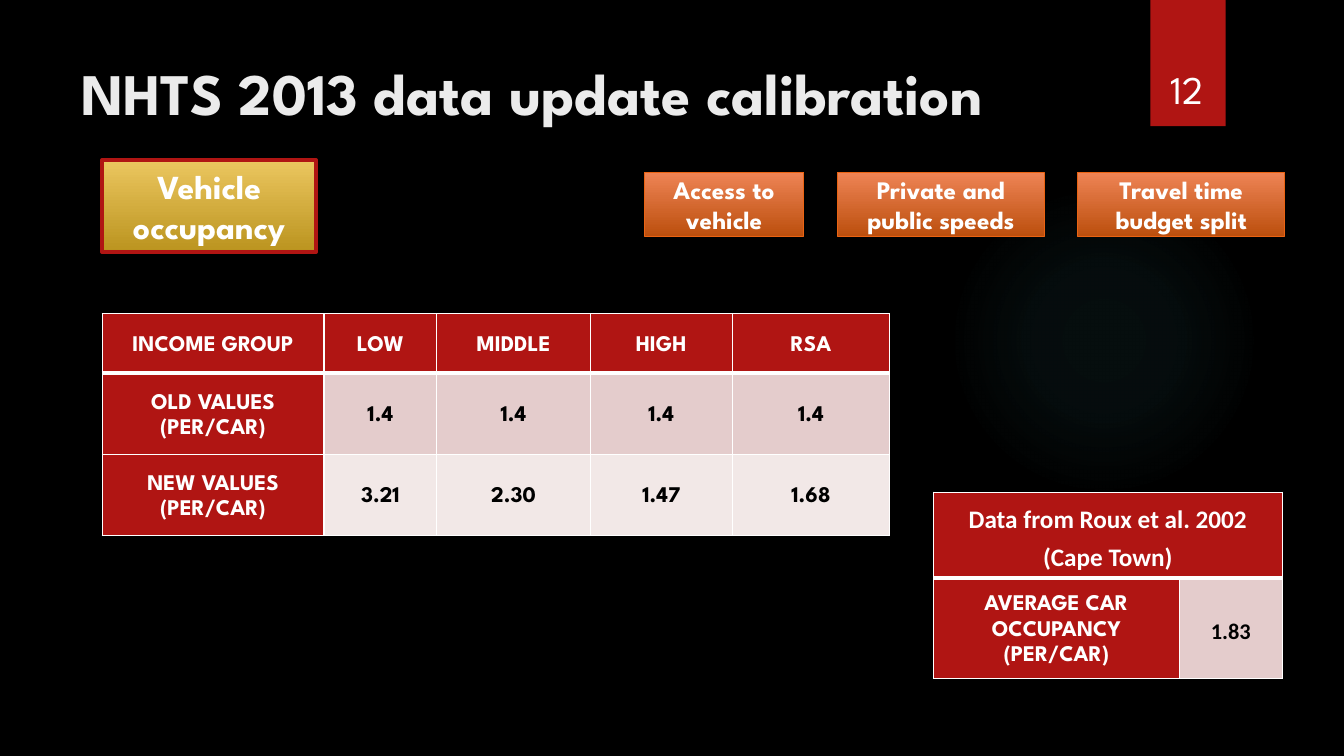
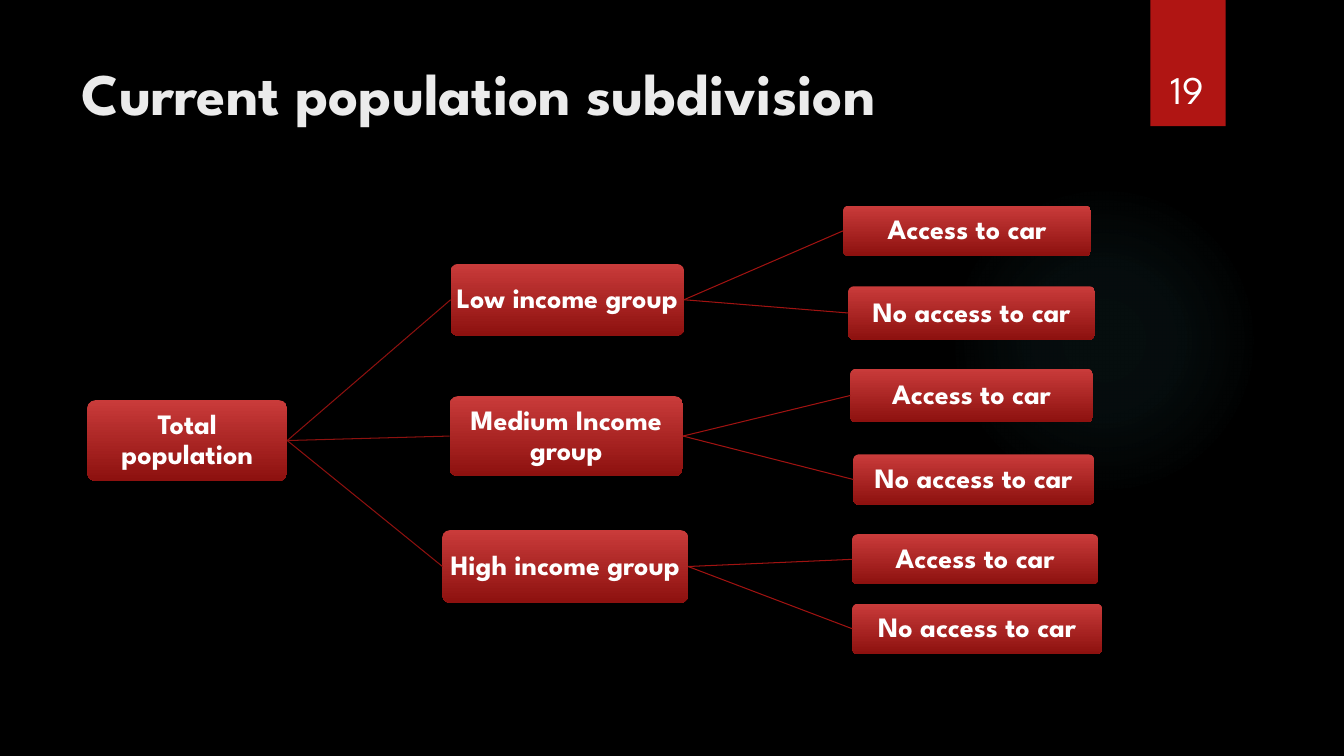
from dataclasses import dataclass

from lxml import etree
from pptx import Presentation
from pptx.dml.color import RGBColor
from pptx.enum.shapes import MSO_CONNECTOR as Connector, MSO_SHAPE as Shape
from pptx.enum.text import MSO_ANCHOR as Anchor, PP_ALIGN as Align
from pptx.oxml import parse_xml
from pptx.oxml.ns import nsdecls, qn
from pptx.util import Inches, Pt

# Shared look
HEADING_FONT, BODY_FONT = "League Spartan", "Calibri"
BLACK, WHITE, TITLE_GREY = "000000", "FFFFFF", "EBEBEB"
RED, LINE_RED, DARK_RED = "B01513", "A01311", "8D110F"
PINK, PALE_PINK = "E4CCCC", "F2E8E7"
GLOW = "50B9C1"
GLOW_STOPS = ((0, 7), (36, 6), (69, 0))
RED_SHADE = ("C93B3A", DARK_RED)
GOLD_SHADE = ("EBC65F", "BB941F")
ORANGE_SHADE, ORANGE_LINE = ("EE8455", "BC4F0E"), "EA6312"


@dataclass
class Box:
    left: int
    top: int
    width: int
    height: int

    def inner(self, left, top, width, height):
        """Return an inner box, given in percent of this one."""
        return Box(int(self.left + self.width * left / 100),
                   int(self.top + self.height * top / 100),
                   int(self.width * width / 100),
                   int(self.height * height / 100))

    @property
    def place(self):
        return self.left, self.top, self.width, self.height


def color(value):
    return RGBColor.from_string(value)


def write(frame, text, size, fill=WHITE, bold=True, font=HEADING_FONT,
          align=Align.CENTER, spacing=None):
    frame.word_wrap = True
    paragraph = frame.paragraphs[0]
    paragraph.alignment = align
    if spacing:
        paragraph.line_spacing = spacing
    run = paragraph.add_run()
    run.text = text
    run.font.color.rgb = color(fill)
    for name, value in {"name": font, "size": Pt(size), "bold": bold}.items():
        setattr(run.font, name, value)


def set_margins(target, across, down):
    margins = {"margin_left": across, "margin_right": across,
               "margin_top": down, "margin_bottom": down}
    for name, value in margins.items():
        setattr(target, name, Inches(value))


def add_text(slide, box, text, size, anchor, **style):
    frame = slide.shapes.add_textbox(*box.place).text_frame
    frame.vertical_anchor = anchor
    write(frame, text, size, **style)


def add_panel(slide, box, kind, shade, line=None, line_width=0.75):
    """Draw a shape with a plain fill, or with a downward two-colour shade."""
    shape = slide.shapes.add_shape(kind, *box.place)
    shape.shadow.inherit = False
    if isinstance(shade, str):
        shape.fill.solid()
        shape.fill.fore_color.rgb = color(shade)
    else:
        shape.fill.gradient()
        shape.fill.gradient_angle = 270
        for stop, value in zip(shape.fill.gradient_stops, shade):
            stop.color.rgb = color(value)
    if line:
        shape.line.color.rgb = color(line)
        shape.line.width = Pt(line_width)
    else:
        shape.line.fill.background()
    return shape


# Background, ribbon, number and title
def add_glow(slide, box):
    shape = add_panel(slide, box, Shape.OVAL, GLOW)
    stops = "".join(
        f'<a:gs pos="{place * 1000}"><a:srgbClr val="{GLOW}">'
        f'<a:alpha val="{alpha * 1000}"/></a:srgbClr></a:gs>'
        for place, alpha in GLOW_STOPS)
    gradient = parse_xml(
        f'<a:gradFill {nsdecls("a")}><a:gsLst>{stops}</a:gsLst>'
        '<a:path path="circle"><a:fillToRect l="50000" t="50000" '
        'r="50000" b="50000"/></a:path></a:gradFill>')
    properties = shape._element.spPr
    properties.replace(properties.find(qn("a:solidFill")), gradient)


def start_slide(presentation, box, title, number):
    slide = presentation.slides.add_slide(presentation.slide_layouts[6])
    slide.background.fill.solid()
    slide.background.fill.fore_color.rgb = color(BLACK)
    add_glow(slide, box.inner(70.6, 24.4, 23.1, 41.1))
    add_panel(slide, box.inner(85.6, 0, 5.6, 16.7), Shape.RECTANGLE, RED)
    add_text(slide, box.inner(5.3, 6.8, 77.2, 20.4), title, 42, Anchor.TOP,
             fill=TITLE_GREY, align=Align.LEFT)
    add_text(slide, box.inner(84.9, 4.3, 6.9, 11.2), number, 28,
             Anchor.BOTTOM, bold=False)
    return slide


# Topic buttons: the current one in gold, the others in an evenly spaced row
def add_button(slide, box, text, size, *look):
    shape = add_panel(slide, box, Shape.RECTANGLE, *look)
    shape.text_frame.vertical_anchor = Anchor.MIDDLE
    write(shape.text_frame, text, size)


def add_topics(slide, box, current, others):
    add_button(slide, box.inner(0, 0, 18.1, 100), current, 24,
               GOLD_SHADE, RED, 3)
    gap, left = 2.85, 45.9
    for text, width in others:
        add_button(slide, box.inner(left, 13, width, 70), text, 18,
                   ORANGE_SHADE, ORANGE_LINE)
        left += width + gap


# Tables
def set_borders(cell, **widths):
    properties = cell._tc.get_or_add_tcPr()
    for index, side in enumerate("LRTB"):
        line = etree.Element(qn(f"a:ln{side}"),
                             w=str(Pt(widths.get(side, 1))))
        fill = etree.SubElement(line, qn("a:solidFill"))
        etree.SubElement(fill, qn("a:srgbClr"), val=WHITE)
        properties.insert(index, line)


def add_grid(slide, box, columns, rows, texts, header_style, value_font):
    """Draw a table whose first row and first column are headings."""
    table = slide.shapes.add_table(len(rows), len(columns), *box.place).table
    for tracks, name, length, shares in (
            (table.columns, "width", box.width, columns),
            (table.rows, "height", box.height, rows)):
        for track, share in zip(tracks, shares):
            setattr(track, name, int(length * share / sum(shares)))
    for row, line in enumerate(texts):
        for column, text in enumerate(line):
            cell = table.cell(row, column)
            heading = row == 0 or column == 0
            cell.fill.solid()
            cell.fill.fore_color.rgb = color(
                RED if heading else (PALE_PINK, PINK)[row % 2])
            set_borders(cell, **({"B": 3} if row == 0 else
                                 {"T": 3} if row == 1 else {}))
            set_margins(cell, 0.07, 0)
            cell.vertical_anchor = Anchor.MIDDLE
            if text is None:
                table.cell(row, column - 1).merge(cell)
                continue
            style = {"size": 16, "fill": WHITE if heading else BLACK,
                     "font": HEADING_FONT if heading else value_font}
            if row == 0:
                style.update(header_style)
            write(cell.text_frame, text, spacing=1.25, **style)


# Tree: each node is a text, its share of the tree box, and its branches
def add_node(slide, box, node, parent=None, line=DARK_RED):
    text, share, branches = node
    shape = add_panel(slide, box.inner(*share), Shape.ROUNDED_RECTANGLE,
                      RED_SHADE)
    shape.adjustments[0] = 0.1
    set_margins(shape.text_frame, 0.03, 0.03)
    shape.text_frame.vertical_anchor = Anchor.MIDDLE
    write(shape.text_frame, text, 20, spacing=0.9)
    if parent is not None:
        add_branch(slide, parent, shape, line)
    for branch in branches:
        add_node(slide, box, branch, shape,
                 DARK_RED if parent is None else LINE_RED)


def add_branch(slide, parent, child, line):
    connector = slide.shapes.add_connector(Connector.STRAIGHT, 0, 0, 0, 0)
    connector.begin_connect(parent, 3)
    connector.end_connect(child, 1)
    connector.line.color.rgb = color(line)
    connector.line.width = Pt(0.75)
    etree.SubElement(connector._element.spPr, qn("a:effectLst"))


TOPICS = (("Access to vehicle", 13.5), ("Private and public speeds", 17.5),
          ("Travel time budget split", 17.5))
OCCUPANCY = (("INCOME GROUP", "LOW", "MIDDLE", "HIGH", "RSA"),
             ("OLD VALUES (PER/CAR)", "1.4", "1.4", "1.4", "1.4"),
             ("NEW VALUES (PER/CAR)", "3.21", "2.30", "1.47", "1.68"))
CAPE_TOWN = (("Data from Roux et al. 2002 (Cape Town)", None),
             ("AVERAGE CAR OCCUPANCY (PER/CAR)", "1.83"))
ACCESS, NO_ACCESS = "Access to car", "No access to car"
POPULATION = ("Total population", (0, 43.4, 19.7, 18), (
    ("Low income group", (35.8, 13, 23, 16), (
        (ACCESS, (74.5, 0, 24.4, 11.2), ()),
        (NO_ACCESS, (75, 18, 24.3, 11.9), ()))),
    ("Medium Income group", (35.7, 42.5, 23, 17.8), (
        (ACCESS, (75.2, 36.4, 23.9, 11.9), ()),
        (NO_ACCESS, (75.5, 55.5, 23.7, 11.2), ()))),
    ("High income group", (35, 72.4, 24.2, 16.2), (
        (ACCESS, (75.4, 73.3, 24.2, 11.2), ()),
        (NO_ACCESS, (75.4, 88.8, 24.6, 11.2), ())))))


def build_calibration(presentation, page):
    slide = start_slide(presentation, page,
                        "NHTS 2013 data update calibration", "12")
    add_topics(slide, page.inner(7.6, 21.2, 87.9, 12.1), "Vehicle occupancy",
               TOPICS)
    add_grid(slide, page.inner(7.6, 41.5, 58.6, 29.3),
             (2.2, 1.12, 1.52, 1.41, 1.56), (0.59, 0.81, 0.8), OCCUPANCY,
             {}, HEADING_FONT)
    add_grid(slide, page.inner(69.45, 65.1, 25.95, 22.7), (2.44, 1.02),
             (1, 1), CAPE_TOWN, {"size": 18, "font": BODY_FONT}, BODY_FONT)


def build_subdivision(presentation, page):
    slide = start_slide(presentation, page,
                        "Current population subdivision", "19")
    add_node(slide, page.inner(6.5, 27.2, 75.5, 59.3), POPULATION)


def main():
    presentation = Presentation()
    presentation.slide_width = Inches(13.33)
    presentation.slide_height = Inches(7.5)
    page = Box(0, 0, presentation.slide_width, presentation.slide_height)
    build_calibration(presentation, page)
    build_subdivision(presentation, page)
    presentation.save("out.pptx")


if __name__ == "__main__":
    main()
